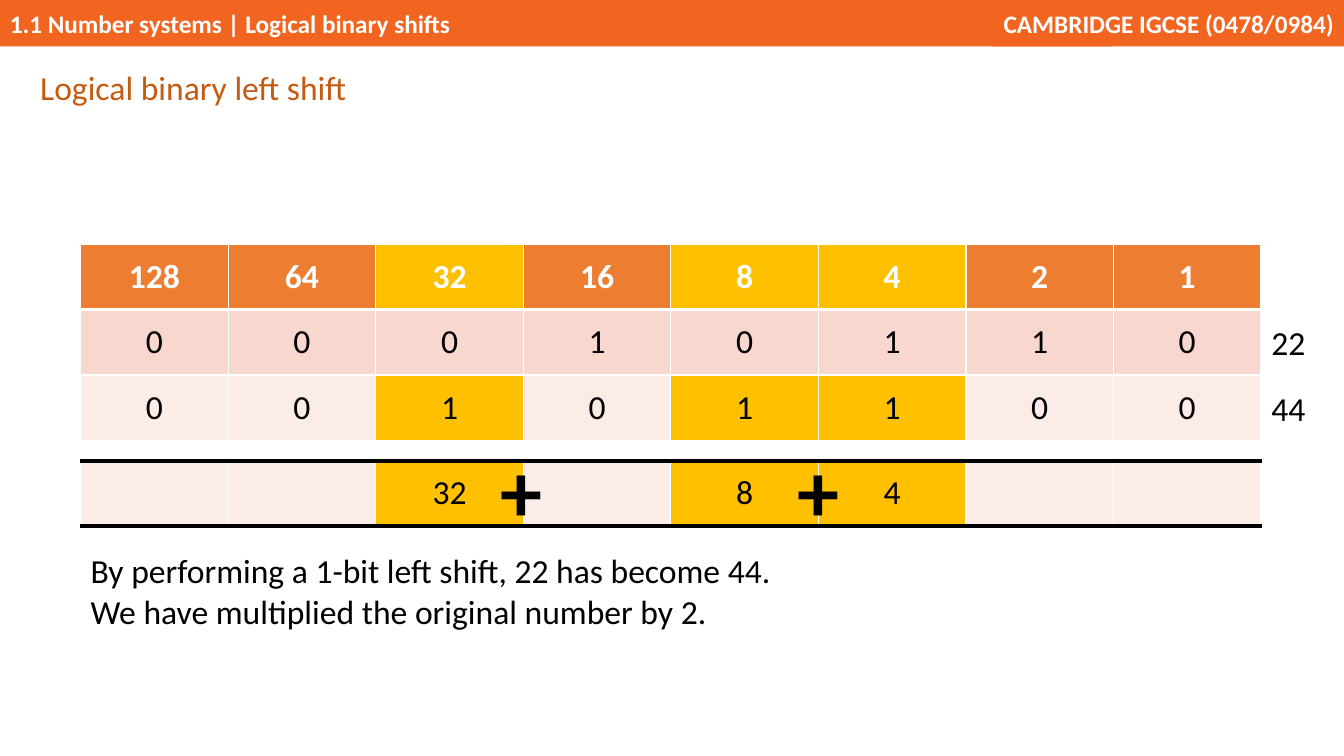
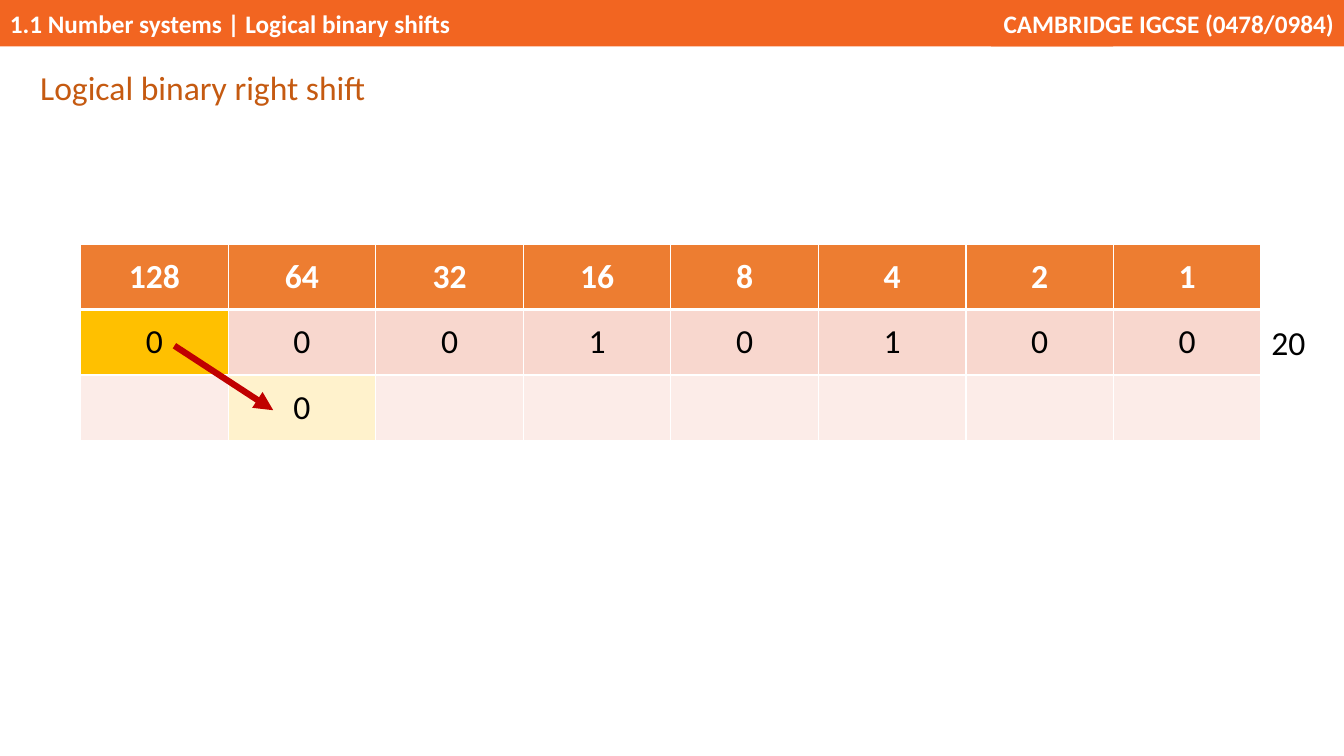
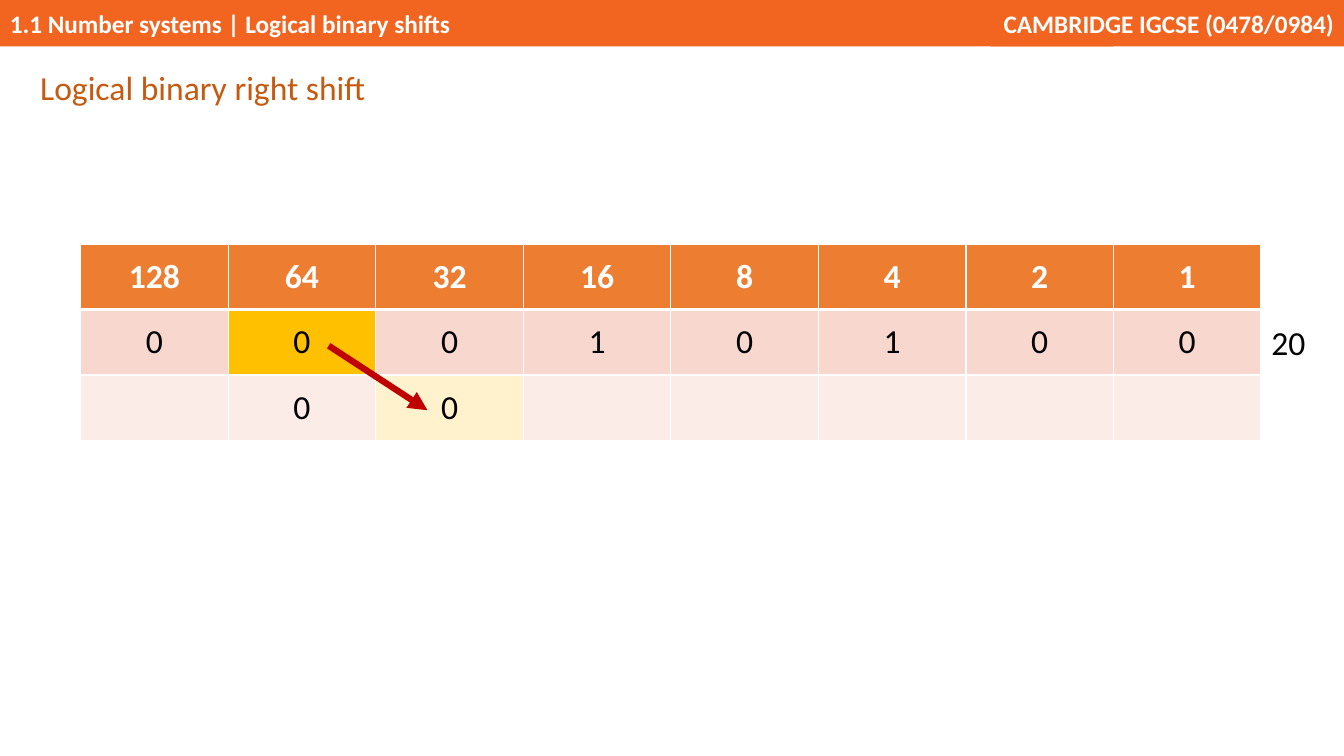
"""Build three slides on logical binary shifts."""
import lxml.etree
import pptx
import pptx.dml.color
import pptx.enum.shapes
import pptx.enum.text
import pptx.oxml.ns
import pptx.util

Inches = pptx.util.Inches
Pt = pptx.util.Pt
ALIGN = pptx.enum.text.PP_ALIGN
MIDDLE = pptx.enum.text.MSO_ANCHOR.MIDDLE
qn = pptx.oxml.ns.qn

FONT = "Calibri"
BAND, HEADING, ARROW = "F26521", "C55A11", "C00000"
WHITE, BLACK = "FFFFFF", "000000"
HEADER, DARK_ROW, LIGHT_ROW = "ED7D31", "F8D7CE", "FCECE8"
GOLD, CREAM = "FFC000", "FFF2CC"

BANDS = [
    (0, 11.04, "1.1 Number systems | Logical binary shifts", ALIGN.LEFT),
    (9.83, 3.5, "CAMBRIDGE IGCSE (0478/0984)", ALIGN.RIGHT),
]
PLACES = ["128", "64", "32", "16", "8", "4", "2", "1"]
TABLE_LEFT, TABLE_TOP, TABLE_WIDTH = 0.8, 2.42, 11.71
ROW_HEIGHT, SPACER_HEIGHT = 0.65, 0.2
SPACER_ROW, SUM_ROW = 3, 4
ROW_FILLS = [HEADER, DARK_ROW, LIGHT_ROW, WHITE, LIGHT_ROW]

SLIDES = [
    {
        "title": "Logical binary left shift",
        "rows": [PLACES, list("00010110"), list("00101100"), [""] * 8,
                 ["", "", "32", "", "8", "4", "", ""]],
        "marks": {(row, column): GOLD for row in (0, 2, 4) for column in (2, 4, 5)},
        "totals": ["22", "44"],
        "plus_lefts": [4.87, 7.81],
        "notes": ["By performing a 1-bit left shift, 22 has become 44.",
                  "We have multiplied the original number by 2."],
    },
    {
        "title": "Logical binary right shift",
        "rows": [PLACES, list("00010100"), ["", "0"] + [""] * 6],
        "marks": {(1, 0): GOLD, (2, 1): CREAM},
        "totals": ["20"],
        "arrow_left": 1.73,
    },
    {
        "title": "Logical binary right shift",
        "rows": [PLACES, list("00010100"), ["", "0", "0"] + [""] * 5],
        "marks": {(1, 1): GOLD, (2, 2): CREAM},
        "totals": ["20"],
        "arrow_left": 3.26,
    },
]


def color(value):
    return pptx.dml.color.RGBColor.from_string(value)


def write(para, text, size=24, ink=BLACK, bold=False, align=ALIGN.LEFT):
    para.alignment = align
    span = para.add_run()
    span.text = text
    span.font.name = FONT
    span.font.size = Pt(size)
    span.font.bold = bold
    span.font.color.rgb = color(ink)


def add_text(page, place, lines, wrap=True, **style):
    box = page.shapes.add_textbox(*map(Inches, place))
    frame = box.text_frame
    frame.word_wrap = wrap
    frame.auto_size = pptx.enum.text.MSO_AUTO_SIZE.SHAPE_TO_FIT_TEXT
    for index, line in enumerate(lines):
        para = frame.add_paragraph() if index else frame.paragraphs[0]
        write(para, line, **style)
    return frame


def add_bands(page):
    for left, width, text, align in BANDS:
        band = page.shapes.add_shape(pptx.enum.shapes.MSO_SHAPE.RECTANGLE,
                                     Inches(left), 0, Inches(width), Inches(0.46))
        band.shadow.inherit = False
        band.fill.solid()
        band.fill.fore_color.rgb = color(BAND)
        band.line.fill.background()
        band.text_frame.vertical_anchor = MIDDLE
        write(band.text_frame.paragraphs[0], text, 18, WHITE, True, align)


def add_title(page, text):
    para = add_text(page, (0.3, 0.59, 7.42, 0.51), [text], ink=HEADING).paragraphs[0]
    para.line_spacing = 1.07
    para.space_after = Pt(8)


def set_borders(cell, row):
    thin, thick, rule = (WHITE, 1), (WHITE, 3), (BLACK, 3)
    top = {1: thick, SUM_ROW: rule}.get(row, thin)
    bottom = {0: thick, SPACER_ROW: rule, SUM_ROW: rule}.get(row, thin)
    sides = [("L", thin), ("R", thin), ("T", top), ("B", bottom)]
    properties = cell._tc.get_or_add_tcPr()
    for index, (side, (ink, width)) in enumerate(sides):
        line = lxml.etree.Element(qn("a:ln" + side), w=str(Pt(width)))
        fill = lxml.etree.SubElement(line, qn("a:solidFill"))
        lxml.etree.SubElement(fill, qn("a:srgbClr"), val=ink)
        properties.insert(index, line)


def shrink_spacer(cell):
    cell.margin_top = cell.margin_bottom = 0
    para = cell.text_frame.paragraphs[0]
    lxml.etree.SubElement(para._p, qn("a:endParaRPr"), sz="600")


def add_bit_table(page, rows, marks):
    heights = [SPACER_HEIGHT if row == SPACER_ROW else ROW_HEIGHT
               for row in range(len(rows))]
    table = page.shapes.add_table(
        len(rows), len(PLACES), Inches(TABLE_LEFT), Inches(TABLE_TOP),
        Inches(TABLE_WIDTH), Inches(sum(heights))).table
    table.first_row = table.horz_banding = False
    for column in table.columns:
        column.width = Inches(TABLE_WIDTH / len(PLACES))
    for row, values in enumerate(rows):
        table.rows[row].height = Inches(heights[row])
        for column, value in enumerate(values):
            cell = table.cell(row, column)
            cell.vertical_anchor = MIDDLE
            cell.fill.solid()
            cell.fill.fore_color.rgb = color(marks.get((row, column), ROW_FILLS[row]))
            set_borders(cell, row)
            if row == SPACER_ROW:
                shrink_spacer(cell)
            elif value:
                write(cell.text_frame.paragraphs[0], value,
                      ink=BLACK if row else WHITE, bold=row == 0, align=ALIGN.CENTER)


def add_arrow(page, left):
    arrow = page.shapes.add_connector(
        pptx.enum.shapes.MSO_CONNECTOR.STRAIGHT,
        Inches(left), Inches(3.43), Inches(left + 0.98), Inches(4.07))
    arrow.line.color.rgb = color(ARROW)
    arrow.line.width = Pt(4.5)
    lxml.etree.SubElement(arrow.line._get_or_add_ln(), qn("a:tailEnd"), type="triangle")
    lxml.etree.SubElement(arrow._element.spPr, qn("a:effectLst"))


def build_slide(deck, content):
    page = deck.slides.add_slide(deck.slide_layouts[6])
    add_bands(page)
    add_bit_table(page, content["rows"], content["marks"])
    if "arrow_left" in content:
        add_arrow(page, content["arrow_left"])
    for left in content.get("plus_lefts", []):
        add_text(page, (left, 4.3, 0.62, 1.11), ["+"], wrap=False, size=60, bold=True)
    for index, total in enumerate(content["totals"]):
        place = (TABLE_LEFT + TABLE_WIDTH, 3.14 + index * 0.66, 0.54, 0.5)
        add_text(page, place, [total], wrap=False, align=ALIGN.CENTER)
    if "notes" in content:
        add_text(page, (TABLE_LEFT, 5.41, 8.34, 0.91), content["notes"])
    add_title(page, content["title"])


def main():
    deck = pptx.Presentation()
    deck.slide_width = Inches(13.33)
    deck.slide_height = Inches(7.5)
    for content in SLIDES:
        build_slide(deck, content)
    deck.save("out.pptx")


if __name__ == "__main__":
    main()
